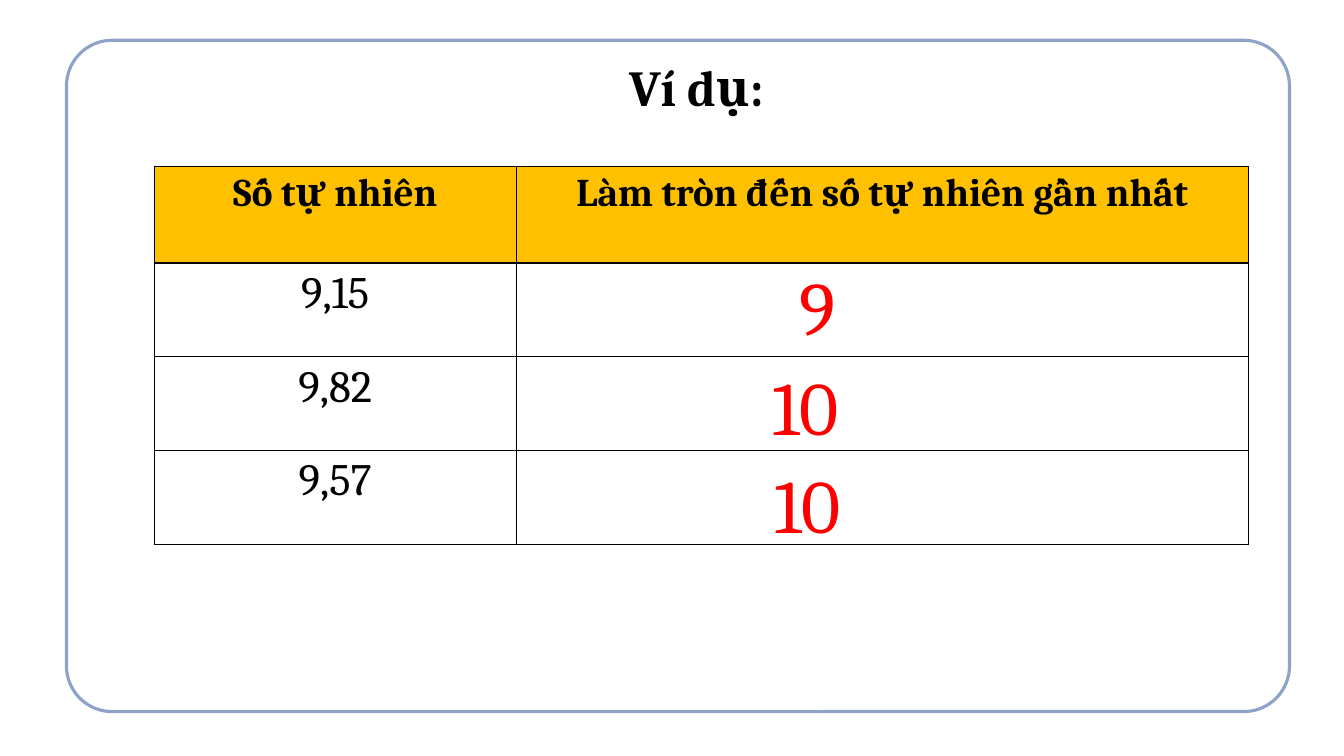
from lxml import etree
from pptx import Presentation
from pptx.dml.color import RGBColor
from pptx.enum import shapes, text
from pptx.oxml import ns
from pptx.util import Inches, Pt


def paint(color):
    return RGBColor.from_string(color)


def write(frame, words, size, color="000000", bold=False, align=None):
    para = frame.paragraphs[0]
    para.alignment = align
    run = para.add_run()
    run.text = words
    font = run.font
    font.name = "Cambria"
    font.size = Pt(size)
    font.bold = bold
    font.color.rgb = paint(color)


def add_panel(slide):
    panel = slide.shapes.add_shape(
        shapes.MSO_SHAPE.ROUNDED_RECTANGLE,
        Inches(0.66), Inches(0.4), Inches(12.13), Inches(6.66))
    panel.adjustments[0] = 0.068
    panel.shadow.inherit = False
    panel.fill.solid()
    panel.fill.fore_color.rgb = paint("FFFFFF")
    panel.line.color.rgb = paint("8EA3C8")
    panel.line.width = Pt(2.25)


def add_label(slide, left, top, width, height, words, size, color, bold=False):
    box = slide.shapes.add_textbox(
        Inches(left), Inches(top), Inches(width), Inches(height))
    box.text_frame.word_wrap = True
    write(box.text_frame, words, size, color, bold)


def add_border(cell, color="000000"):
    props = cell._tc.get_or_add_tcPr()
    for index, side in enumerate(("lnL", "lnR", "lnT", "lnB")):
        line = etree.Element(ns.qn("a:" + side), w=str(Pt(1)))
        fill = etree.SubElement(line, ns.qn("a:solidFill"))
        etree.SubElement(fill, ns.qn("a:srgbClr"), val=color)
        props.insert(index, line)


def add_grid(slide, rows):
    frame = slide.shapes.add_table(
        len(rows), 2, Inches(1.53), Inches(1.65), Inches(10.85), Inches(3.75))
    table = frame.table
    for column, width in zip(table.columns, (3.59, 7.26)):
        column.width = Inches(width)
    for i, words in enumerate(rows):
        head = i == 0
        table.rows[i].height = Inches(0.96 if head else 0.93)
        for cell, word in zip(table.rows[i].cells, words):
            cell.fill.solid()
            cell.fill.fore_color.rgb = paint("FFC000" if head else "FFFFFF")
            add_border(cell)
            if word:
                write(cell.text_frame, word, 28 if head else 32,
                      bold=head, align=text.PP_ALIGN.CENTER)


def main():
    deck = Presentation()
    deck.slide_width = Inches(13.33)
    deck.slide_height = Inches(7.5)
    slide = deck.slides.add_slide(deck.slide_layouts[6])
    add_panel(slide)
    add_label(slide, 6.14, 0.51, 2.31, 0.71, "Ví dụ:", 36, "000000", True)
    add_grid(slide, [
        ("Số tự nhiên", "Làm tròn đến số tự nhiên gần nhất"),
        ("9,15", ""),
        ("9,82", ""),
        ("9,57", ""),
    ])
    for left, top, width, words in (
            (7.83, 2.53, 1.62, "9"),
            (7.56, 3.52, 1.94, "10"),
            (7.58, 4.49, 1.94, "10")):
        add_label(slide, left, top, width, 1.01, words, 54, "FF0000")
    deck.save("out.pptx")


if __name__ == "__main__":
    main()
